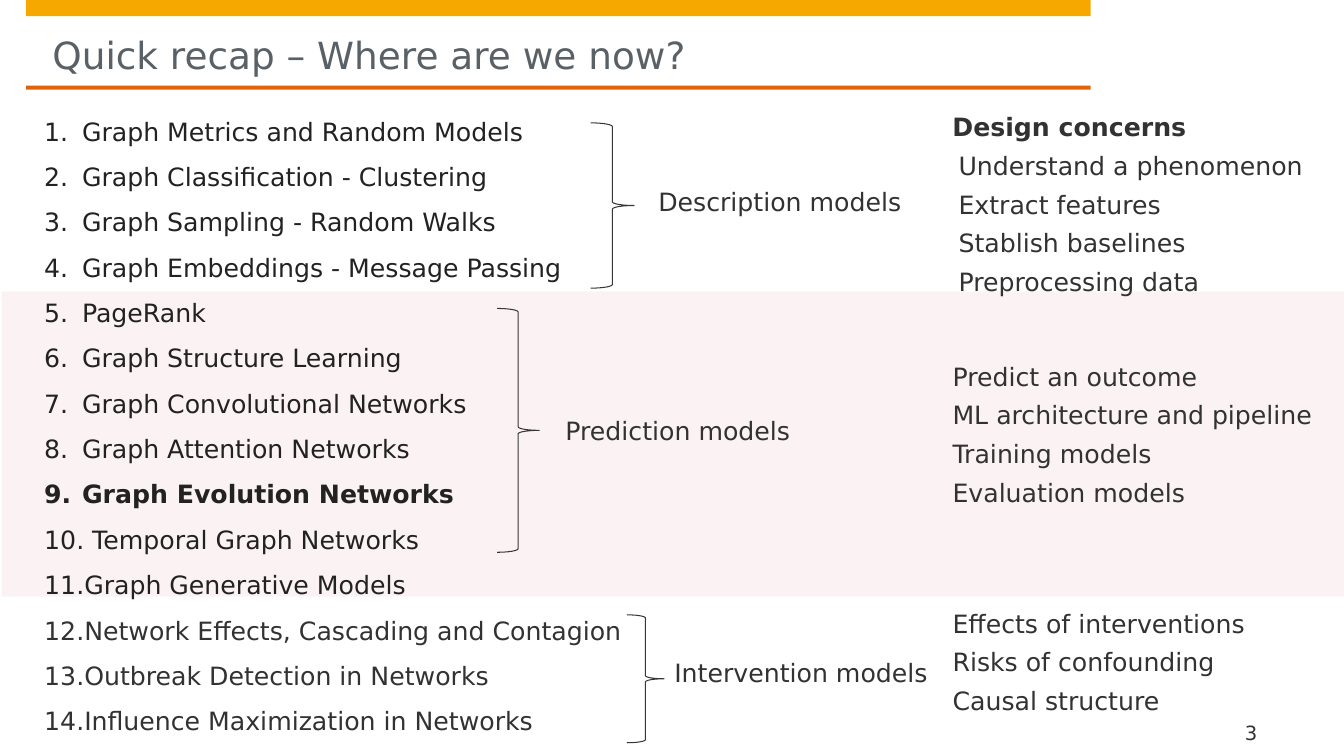
from lxml import etree
from pptx import Presentation
from pptx.dml.color import RGBColor
from pptx.enum import shapes, text
from pptx.oxml.ns import qn
from pptx.util import Pt

FONT = "DejaVu Sans"
COLORS = {"amber": "F6A800", "orange": "DD640C", "rose": "B1063A",
          "title": "5A6166", "topic": "222222", "body": "323232", "brace": "373737"}
TOPICS = ["Graph Metrics and Random Models", "Graph Classification - Clustering",
          "Graph Sampling - Random Walks", "Graph Embeddings - Message Passing",
          "PageRank", "Graph Structure Learning", "Graph Convolutional Networks",
          "Graph Attention Networks", "Graph Evolution Networks",
          " Temporal Graph Networks", "Graph Generative Models",
          "Network Effects, Cascading and Contagion",
          "Outbreak Detection in Networks", "Influence Maximization in Networks"]
CURRENT_TOPIC = 8
FIRST_INTERVENTION = 11

# Brace box, label, label box
MODEL_GROUPS = [
    ((421.9, 87.8, 31, 118.1), "Description models", (470.2, 133.2, 252.7, 28.8)),
    ((355, 220.3, 30.2, 174.2), "Prediction models", (403.9, 296.6, 179.3, 25.2)),
    ((447.8, 439.2, 26.6, 91.4), "Intervention models", (481.7, 469.4, 190.1, 25.2)),
]
CONCERNS = [
    ((684.7, 107.3, 247.7, 112.3), ["Understand a phenomenon", "Extract features",
                                    "Stablish baselines", "Preprocessing data"]),
    ((680.4, 257.8, 267.1, 106.6), ["Predict an outcome", "ML architecture and pipeline",
                                    "Training models", "Evaluation models"]),
    ((680.4, 434.2, 221.8, 89.3), ["Effects of interventions", "Risks of confounding",
                                   "Causal structure"]),
]


def rgb(name):
    return RGBColor.from_string(COLORS[name])


def place(sp, box):
    sp.left, sp.top, sp.width, sp.height = (Pt(v) for v in box)


def set_insets(tf, left=0, top=0, right=0, bottom=0):
    tf.margin_left, tf.margin_top = Pt(left), Pt(top)
    tf.margin_right, tf.margin_bottom = Pt(right), Pt(bottom)


def add_run(p, words, size=18, color="body", bold=False):
    r = p.add_run()
    r.text = words
    r.font.name, r.font.size, r.font.bold = FONT, Pt(size), bold
    r.font.color.rgb = rgb(color)


def add_box(slide, box):
    tf = slide.shapes.add_textbox(*(Pt(v) for v in box)).text_frame
    tf.word_wrap = True
    return tf


def add_band(slide, box, color, opacity=100):
    sp = slide.shapes.add_shape(shapes.MSO_SHAPE.RECTANGLE, *(Pt(v) for v in box))
    sp.shadow.inherit = False
    sp.fill.solid()
    sp.fill.fore_color.rgb = rgb(color)
    sp.line.fill.background()
    if opacity < 100:
        clr = sp.fill._xPr.find(qn("a:solidFill"))[0]
        etree.SubElement(clr, qn("a:alpha")).set("val", str(opacity * 1000))


def add_lines(slide, box, lines, bold=False, inset=(0, 0, 0, 0)):
    tf = add_box(slide, box)
    set_insets(tf, *inset)
    for i, line in enumerate(lines):
        p = tf.paragraphs[0] if i == 0 else tf.add_paragraph()
        p.space_before = p.space_after = Pt(3)
        add_run(p, line, bold=bold)


def add_header(slide, box):
    """Amber bar, title and orange rule, stacked in the box."""
    x, y, w, h = box
    add_band(slide, (x, y, w, 11.5), "amber")
    add_band(slide, (x, y + h - 2.9, w, 2.9), "orange")
    title = slide.shapes.title
    place(title, (x + 18.7, y + 11.5, 722.2, 43.9))
    tf = title.text_frame
    tf.word_wrap = True
    tf.auto_size = text.MSO_AUTO_SIZE.NONE
    tf.vertical_anchor = text.MSO_ANCHOR.TOP
    set_insets(tf, top=11.5)
    p = tf.paragraphs[0]
    p.alignment = text.PP_ALIGN.LEFT
    add_run(p, "Quick recap – Where are we now?", 26.7, "title")


def add_topics(slide, box):
    tf = add_box(slide, box)
    for i, topic in enumerate(TOPICS):
        p = tf.paragraphs[0] if i == 0 else tf.add_paragraph()
        p.line_spacing = 1.5
        pPr = p._p.get_or_add_pPr()
        pPr.set("marL", str(Pt(27)))
        pPr.set("indent", str(-Pt(27)))
        etree.SubElement(pPr, qn("a:buFont")).set("typeface", "+mj-lt")
        etree.SubElement(pPr, qn("a:buAutoNum")).set("type", "arabicPeriod")
        color = "topic" if i < FIRST_INTERVENTION else "body"
        add_run(p, topic, color=color, bold=i == CURRENT_TOPIC)


def add_model_group(slide, brace_box, label, label_box):
    sp = slide.shapes.add_shape(shapes.MSO_SHAPE.RIGHT_BRACE, *(Pt(v) for v in brace_box))
    sp.shadow.inherit = False
    sp.fill.background()
    sp.line.color.rgb = rgb("brace")
    sp.line.width = Pt(0.75)
    add_lines(slide, label_box, [label])


def add_page_number(slide, box):
    tf = add_box(slide, box)
    set_insets(tf, left=8.6)
    tf.vertical_anchor = text.MSO_ANCHOR.BOTTOM
    add_run(tf.paragraphs[0], "3", 14)


def main():
    prs = Presentation()
    prs.slide_width, prs.slide_height = Pt(960), Pt(540)
    slide = prs.slides.add_slide(prs.slide_layouts[5])
    add_header(slide, (18.7, 0, 760.3, 64.1))
    add_band(slide, (1.4, 208.1, 959.8, 218.2), "rose", opacity=5)
    add_page_number(slide, (880.6, 510.5, 60.5, 20.9))
    add_topics(slide, (24.5, 68.4, 438.5, 526.3))
    for group in MODEL_GROUPS:
        add_model_group(slide, *group)
    add_lines(slide, (673.2, 76.3, 214.6, 28.8), ["Design concerns"],
              bold=True, inset=(7.2, 3.6, 7.2, 3.6))
    for box, lines in CONCERNS:
        add_lines(slide, box, lines)
    prs.save("out.pptx")


if __name__ == "__main__":
    main()
